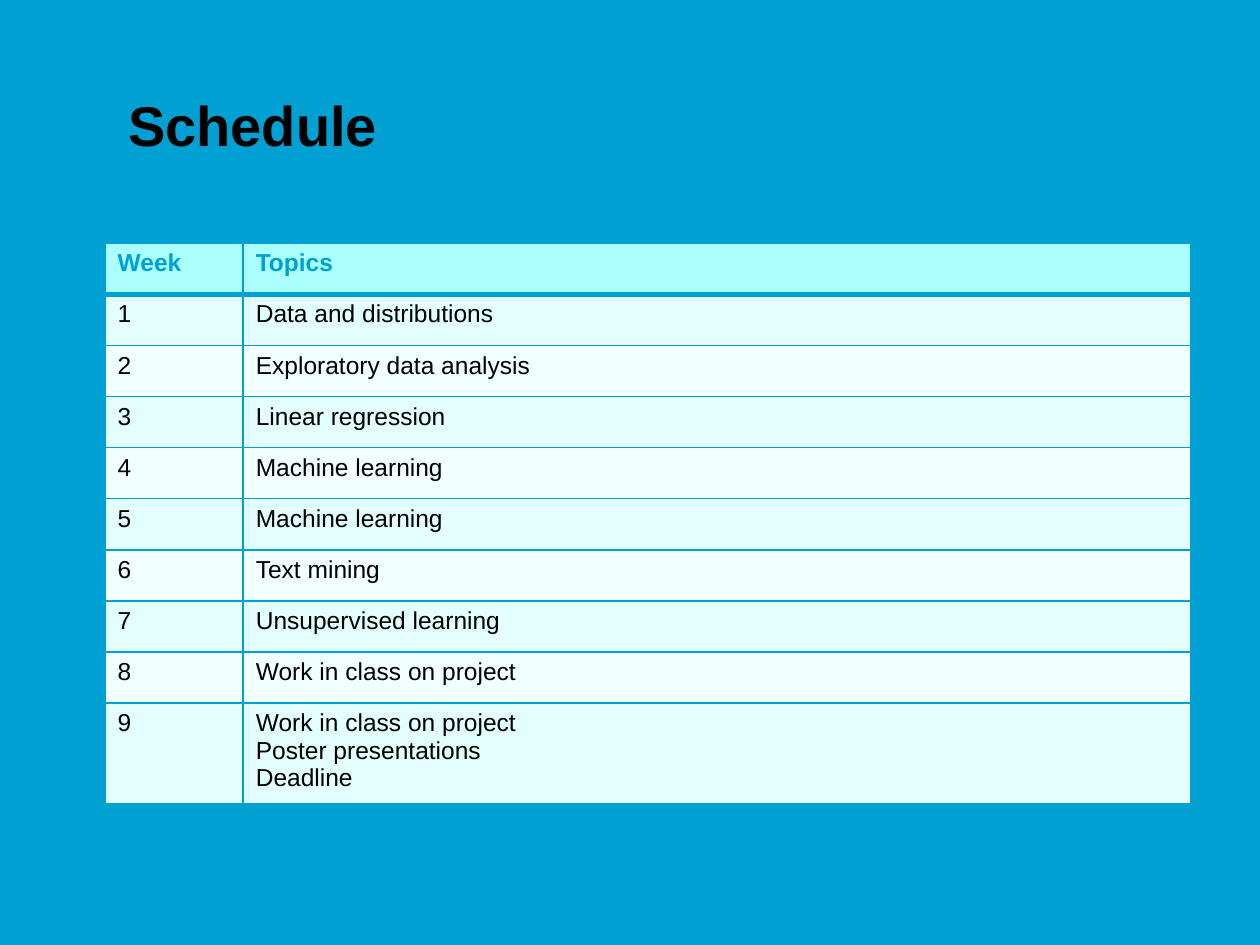
import lxml.etree
import pptx
import pptx.dml.color
import pptx.enum.text
import pptx.oxml.ns
import pptx.util

Pt = pptx.util.Pt
BLUE = "00A0D2"
BLACK = "000000"
HEADER_FILL = "AAFFFD"
BAND_FILLS = ("F1FFFF", "E2FFFE")
TOPICS = [
    "Data and distributions",
    "Exploratory data analysis",
    "Linear regression",
    "Machine learning",
    "Machine learning",
    "Text mining",
    "Unsupervised learning",
    "Work in class on project",
    "Work in class on project\nPoster presentations\nDeadline",
]


def color(value):
    """Turn a hex string into a colour."""
    return pptx.dml.color.RGBColor.from_string(value)


def write(frame, text, size=14, tint=BLACK, bold=False):
    """Fill a text frame, one paragraph for each line of text."""
    frame.text = text
    for paragraph in frame.paragraphs:
        paragraph.alignment = pptx.enum.text.PP_ALIGN.LEFT
        font = paragraph.runs[0].font
        font.name, font.size, font.bold = "Arial", Pt(size), bold
        font.color.rgb = color(tint)


def add_borders(cell, tint, **widths):
    """Draw the cell's borders in one colour, with a width for each side."""
    properties = cell._tc.get_or_add_tcPr()
    qn = pptx.oxml.ns.qn
    for side, width in widths.items():
        line = lxml.etree.SubElement(properties, qn(f"a:ln{side}"), w=str(Pt(width)))
        fill = lxml.etree.SubElement(line, qn("a:solidFill"))
        lxml.etree.SubElement(fill, qn("a:srgbClr"), val=tint)


def add_title(slide, text, left, top, width, height):
    """Place the slide title in the given box."""
    title = slide.shapes.title
    title.left, title.top, title.width, title.height = map(Pt, (left, top, width, height))
    frame = title.text_frame
    write(frame, text, size=32, bold=True)
    frame.word_wrap = True
    frame.vertical_anchor = pptx.enum.text.MSO_ANCHOR.BOTTOM
    frame.auto_size = pptx.enum.text.MSO_AUTO_SIZE.SHAPE_TO_FIT_TEXT


def add_schedule(slide, topics, left, top, width, row_height, week_width):
    """Place the table of weeks and topics, with banded rows."""
    entries = [("Week", "Topics")]
    entries += [(str(week), topic) for week, topic in enumerate(topics, 1)]
    schedule = slide.shapes.add_table(
        len(entries), 2, Pt(left), Pt(top), Pt(width), Pt(row_height * len(entries))
    ).table
    schedule.columns[0].width = Pt(week_width)
    schedule.columns[1].width = Pt(width - week_width)
    for week, entry in enumerate(entries):
        schedule.rows[week].height = Pt(row_height)
        header = week == 0
        for column, text in enumerate(entry):
            cell = schedule.cell(week, column)
            write(cell.text_frame, text, tint=BLUE if header else BLACK, bold=header)
            add_borders(cell, BLUE, L=1, R=1, T=3 if week == 1 else 1, B=3 if header else 1)
            cell.fill.solid()
            cell.fill.fore_color.rgb = color(HEADER_FILL if header else BAND_FILLS[week % 2])


def main():
    """Build the schedule slide and save it."""
    deck = pptx.Presentation()
    deck.slide_width, deck.slide_height = Pt(720), Pt(540)
    slide = deck.slides.add_slide(deck.slide_layouts[5])
    slide.background.fill.solid()
    slide.background.fill.fore_color.rgb = color(BLUE)
    add_title(slide, "Schedule", left=66, top=48, width=486, height=45.5)
    add_schedule(slide, TOPICS, left=60, top=139, width=620.5, row_height=29.2, week_width=79)
    deck.save("out.pptx")


if __name__ == "__main__":
    main()
